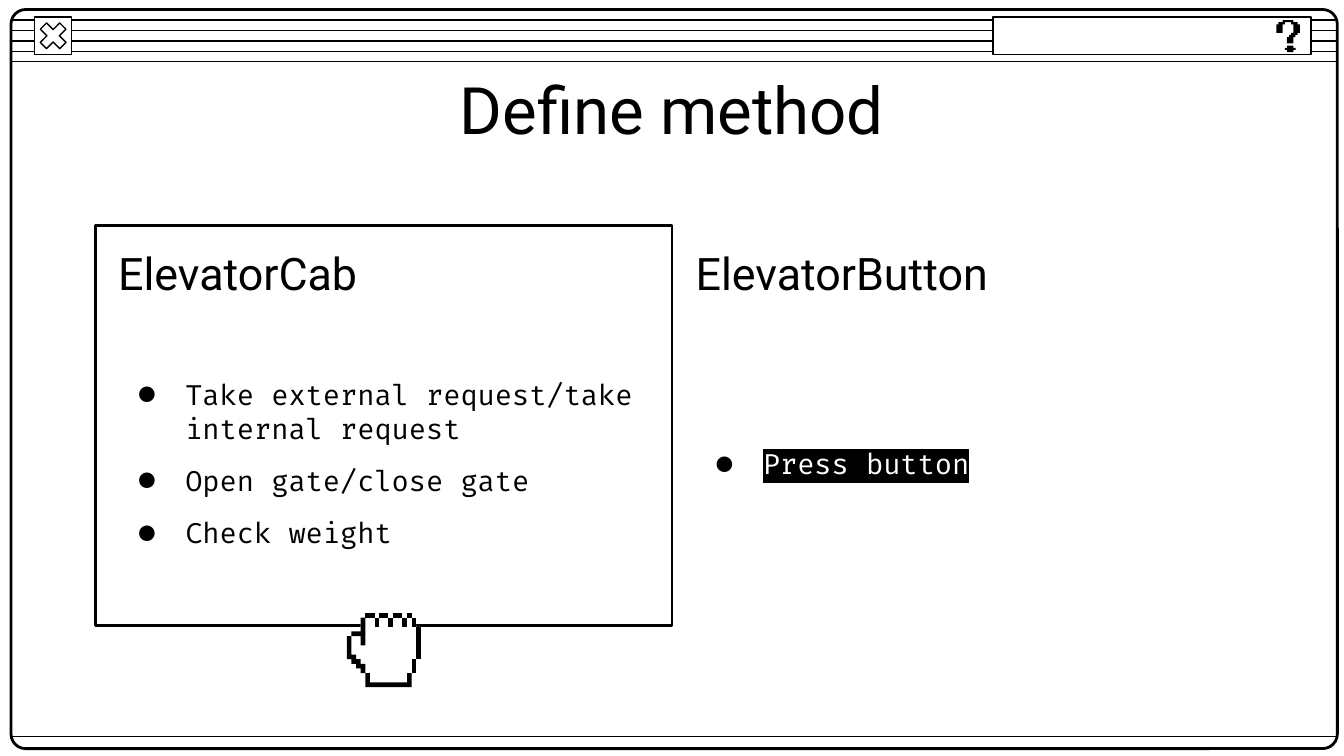
import pptx
import pptx.dml.color
import pptx.enum.shapes
import pptx.enum.text
import pptx.oxml.ns
import pptx.util
from lxml import etree

Pt = pptx.util.Pt
qn = pptx.oxml.ns.qn
Preset = pptx.enum.shapes.MSO_SHAPE
Align = pptx.enum.text.PP_ALIGN


class Theme:
    ink, paper = "000000", "FFFFFF"
    heading_font, body_font = "Roboto", "Fira Code"
    title_size, heading_size, body_size = 35, 24, 15
    thin, thick = 0.75, 1.5


# Content
TITLE = "Define method"
COLUMNS = [
    {"heading": "ElevatorCab",
     "methods": ["Take external request/take internal request",
                 "Open gate/close gate", "Check weight"],
     "format": {}},
    {"heading": "ElevatorButton",
     "methods": ["Press button"],
     "format": {"color": Theme.paper, "highlight": Theme.ink}},
]


def block(left, top, width, height):
    return [(left, top), (left + width, top),
            (left + width, top + height), (left, top + height)]


# Pixel icons, drawn on grids of square cells
QUESTION_MARK = [
    [(5, 12), (5, 13), (4, 13), (4, 14), (5, 14), (5, 15),
     (8, 15), (8, 14), (9, 14), (9, 13), (8, 13), (8, 12)],
    [(3, 0), (3, 1), (1, 1), (1, 2), (0, 2), (0, 6), (3, 6), (3, 2), (4, 2), (4, 1),
     (7, 1), (7, 2), (8, 2), (8, 6), (7, 6), (7, 7), (6, 7), (6, 8), (5, 8), (5, 11),
     (8, 11), (8, 8), (9, 8), (9, 7), (10, 7), (10, 6), (11, 6), (11, 2), (10, 2),
     (10, 1), (8, 1), (8, 0)],
]
HAND_FILL = [
    (4, 0), (4, 1), (3, 1), (3, 4), (1, 4), (1, 5), (0, 5), (0, 10), (1, 10), (1, 11),
    (2, 11), (2, 12), (3, 12), (3, 13), (4, 13), (4, 16), (14, 16), (14, 13), (15, 13),
    (15, 10), (16, 10), (16, 3), (15, 3), (15, 1), (14, 1), (14, 0), (13, 0), (13, 1),
    (12, 1), (12, 0), (10, 0), (10, 1), (9, 1), (9, 0), (7, 0), (7, 1), (6, 1), (6, 0),
]
FINGER_GAPS = [block(left, 1, 1, 2) for left in (6, 9, 12, 14)]
FINGERTIPS = [block(left, 0, width, 1) for left, width in ((4, 2), (7, 2), (10, 2), (13, 1))]
HAND_OUTLINE = FINGER_GAPS + FINGERTIPS + [
    block(15, 3, 1, 7),
    block(14, 10, 1, 3),
    [(4, 13), (4, 16), (14, 16), (14, 13), (13, 13), (13, 15), (5, 15), (5, 13)],
    [(3, 1), (3, 4), (1, 4), (1, 5), (3, 5), (3, 7), (4, 7), (4, 1)],
    [(0, 5), (0, 10), (1, 10), (1, 11), (2, 11), (2, 12), (3, 12), (3, 13), (4, 13),
     (4, 11), (3, 11), (3, 10), (2, 10), (2, 9), (1, 9), (1, 5)],
]

# Layout, in points
SLIDE_WIDTH, SLIDE_HEIGHT = 720, 405
FRAME_LEFT, FRAME_TOP, FRAME_WIDTH, FRAME_HEIGHT = 5.9, 5.1, 710.6, 396
STRIPE_TOP, STRIPE_GAP, STRIPE_COUNT = 10.8, 5.58, 5
FOOTER_LINE = 394.6
COLUMN_LEFT, COLUMN_STEP, COLUMN_WIDTH = 56.2, 309.4, 298.1
HEADING_TOP, HEADING_HEIGHT, METHODS_HEIGHT = 126, 39.6, 165.6

presentation = pptx.Presentation()
presentation.slide_width = Pt(SLIDE_WIDTH)
presentation.slide_height = Pt(SLIDE_HEIGHT)
slide = presentation.slides.add_slide(presentation.slide_layouts[6])


def rgb(color):
    return pptx.dml.color.RGBColor.from_string(color)


def paint(shape, fill=None, line_width=None):
    shape.shadow.inherit = False
    if fill:
        shape.fill.solid()
        shape.fill.fore_color.rgb = rgb(fill)
    else:
        shape.fill.background()
    if line_width:
        shape.line.color.rgb = rgb(Theme.ink)
        shape.line.width = Pt(line_width)
    else:
        shape.line.fill.background()


def add_box(preset, left, top, width, height, **style):
    shape = slide.shapes.add_shape(preset, Pt(left), Pt(top), Pt(width), Pt(height))
    paint(shape, **style)
    return shape


def add_rule(top):
    rule = slide.shapes.add_connector(
        pptx.enum.shapes.MSO_CONNECTOR.STRAIGHT,
        Pt(FRAME_LEFT), Pt(top), Pt(FRAME_LEFT + FRAME_WIDTH), Pt(top))
    rule.line.color.rgb = rgb(Theme.ink)
    rule.line.width = Pt(Theme.thin)
    etree.SubElement(rule.element.spPr, qn("a:effectLst"))


def add_pixels(outlines, left, top, cell, fill):
    for outline in outlines:
        builder = slide.shapes.build_freeform(*outline[0], scale=Pt(cell))
        builder.add_line_segments(outline[1:], close=True)
        paint(builder.convert_to_shape(Pt(left), Pt(top)), fill=fill)


def add_bullet(paragraph):
    properties = paragraph._p.get_or_add_pPr()
    properties.set("marL", str(Pt(36)))
    properties.set("indent", str(-Pt(25.2)))
    color = etree.SubElement(properties, qn("a:buClr"))
    etree.SubElement(color, qn("a:srgbClr"), val=Theme.ink)
    etree.SubElement(properties, qn("a:buFont"), typeface=Theme.body_font)
    etree.SubElement(properties, qn("a:buChar"), char="●")


def add_text(lines, left, top, width, height, size, font, color=Theme.ink,
             align=Align.LEFT, bullets=False, highlight=None):
    frame = slide.shapes.add_textbox(Pt(left), Pt(top), Pt(width), Pt(height)).text_frame
    frame.word_wrap = True
    frame.vertical_anchor = pptx.enum.text.MSO_ANCHOR.MIDDLE
    frame.margin_left = frame.margin_right = Pt(7.2)
    frame.margin_top = frame.margin_bottom = Pt(7.2)
    for index, line in enumerate(lines):
        paragraph = frame.add_paragraph() if index else frame.paragraphs[0]
        paragraph.alignment = align
        if index:
            paragraph.space_before = Pt(10)
            if index == len(lines) - 1:
                paragraph.space_after = Pt(10)
        if bullets:
            add_bullet(paragraph)
        run = paragraph.add_run()
        run.text = line
        run.font.size = Pt(size)
        run.font.color.rgb = rgb(color)
        if highlight:
            mark = etree.SubElement(run._r.get_or_add_rPr(), qn("a:highlight"))
            etree.SubElement(mark, qn("a:srgbClr"), val=highlight)
        run.font.name = font


# Window frame with striped title bar
for stripe in range(STRIPE_COUNT):
    add_rule(STRIPE_TOP + stripe * STRIPE_GAP)
window = add_box(Preset.ROUNDED_RECTANGLE, FRAME_LEFT, FRAME_TOP, FRAME_WIDTH, FRAME_HEIGHT,
                 line_width=Theme.thick)
window.adjustments[0] = 0.02
add_rule(FOOTER_LINE)

# Close button and help box
for preset in (Preset.RECTANGLE, Preset.MATH_MULTIPLY):
    button = add_box(preset, 18.5, 9.2, 20, 20, fill=Theme.paper, line_width=Theme.thin)
button.adjustments[0] = 0.235
add_box(Preset.RECTANGLE, 532.1, 9.2, 170.3, 20, fill=Theme.paper, line_width=Theme.thin)
add_pixels(QUESTION_MARK, 683.8, 10.8, 1.14, Theme.ink)

# Outline around the first column, and the title
add_box(Preset.RECTANGLE, 51.1, 120.8, 308.9, 214.4, line_width=Theme.thick)
add_text([TITLE], 56.7, 35.4, 606.6, 45.1, Theme.title_size, Theme.heading_font,
         align=Align.CENTER)

# Class columns
for number, column in enumerate(COLUMNS):
    column_left = COLUMN_LEFT + number * COLUMN_STEP
    add_text([column["heading"]], column_left, HEADING_TOP, COLUMN_WIDTH, HEADING_HEIGHT,
             Theme.heading_size, Theme.heading_font)
    add_text(column["methods"], column_left, HEADING_TOP + HEADING_HEIGHT, COLUMN_WIDTH,
             METHODS_HEIGHT, Theme.body_size, Theme.body_font, bullets=True,
             **column["format"])

# Grabbing hand
for outlines, fill in (([HAND_FILL], Theme.paper), (HAND_OUTLINE, Theme.ink)):
    add_pixels(outlines, 185.8, 328.4, 2.48, fill)

presentation.save("out.pptx")
